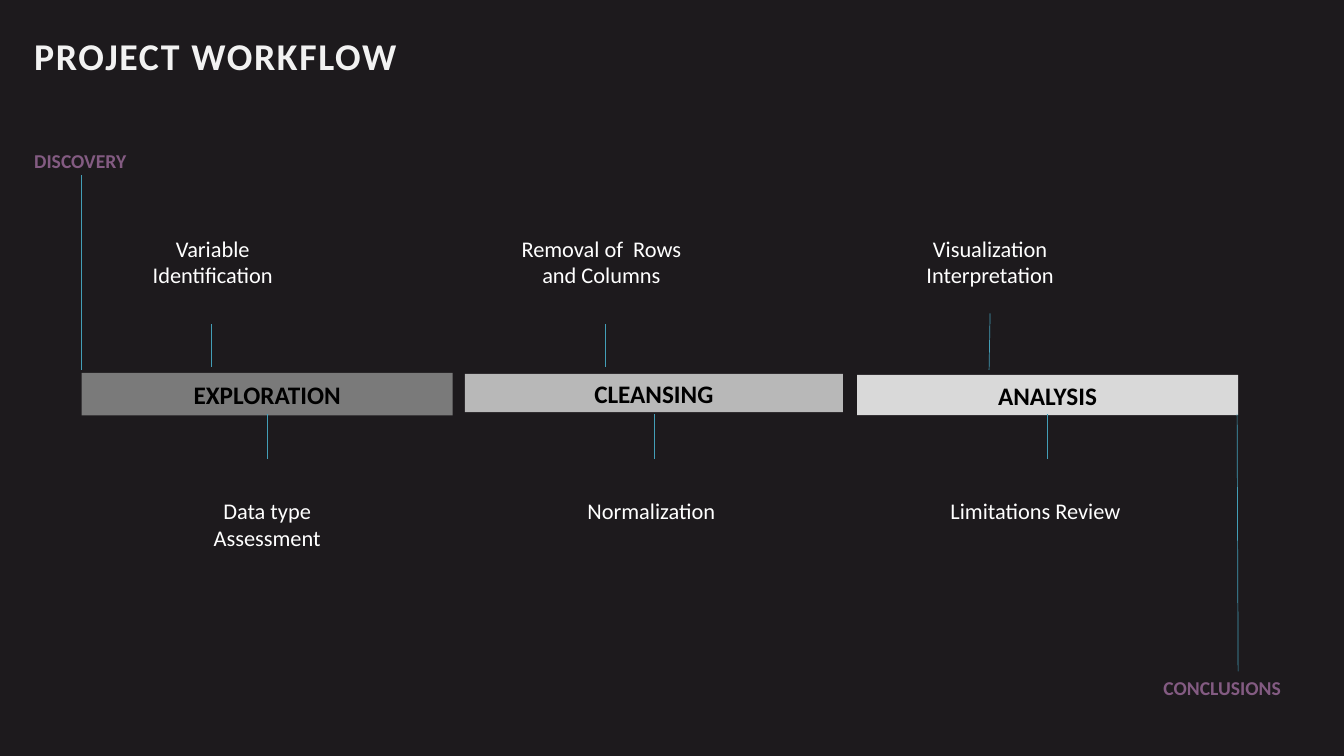
"""Build the project workflow slide: three stages with steps above and below."""
from lxml import etree
from pptx import Presentation
from pptx.dml.color import RGBColor
from pptx.enum.shapes import MSO_CONNECTOR, MSO_SHAPE
from pptx.enum.text import MSO_ANCHOR, MSO_AUTO_SIZE, PP_ALIGN
from pptx.oxml.ns import qn
from pptx.util import Inches, Pt

LEFT, CENTER = PP_ALIGN.LEFT, PP_ALIGN.CENTER
MIDDLE = MSO_ANCHOR.MIDDLE
FIT_SHAPE = MSO_AUTO_SIZE.SHAPE_TO_FIT_TEXT
RECT, STRAIGHT = MSO_SHAPE.RECTANGLE, MSO_CONNECTOR.STRAIGHT

THEME = {
    "font": "Calibri",
    "background": "1D1A1D",
    "title": {"size": 27, "color": "F2F2F2", "bold": True, "spacing": 1.2},
    "stage": {"size": 18, "color": "000000", "bold": True},
    "milestone": {"size": 14, "color": "835B82", "bold": True},
    "step": {"size": 16, "color": "FFFFFF", "bold": False},
    "line": "439EB7",
    "line_width": 0.5,
}

TITLE = ("PROJECT WORKFLOW", (0.24, 0.28, 4.68, 0.56))
MILESTONES = [
    ("DISCOVERY", (0.24, 1.43, 1.99, 0.34)),
    ("CONCLUSIONS", (11.44, 6.66, 1.82, 0.34)),
]
STAGES = [
    ("EXPLORATION", (0.81, 3.7, 3.68, 0.42), "7A7A7A"),
    ("CLEANSING", (4.61, 3.71, 3.75, 0.38), "B8B8B8"),
    ("ANALYSIS", (8.5, 3.72, 3.78, 0.4), "D9D9D9"),
]
STEPS_ABOVE = [
    ("Variable Identification", 1.14, 1.94, 0.64),
    ("Removal of  Rows and Columns", 5.03, 1.87, 0.64),
    ("Visualization Interpretation", 8.85, 1.94, 0.64),
]
STEPS_BELOW = [
    ("Data type Assessment", 1.68, 1.94, 0.64),
    ("Normalization", 5.49, 1.94, 0.37),
    ("Limitations Review", 9.3, 1.94, 0.64),
]
STEP_ROWS = [(2.28, STEPS_ABOVE), (4.88, STEPS_BELOW)]
TICKS_ABOVE = [
    ((2.1, 3.64), (2.1, 3.21)),
    ((6, 3.64), (6, 3.21)),
    ((9.81, 3.67), (9.82, 3.11)),
]
TICKS_BELOW = [((x, 4.55), (x, 4.11)) for x in (2.65, 6.49, 10.39)]
MILESTONE_LINES = [((0.81, 3.67), (0.81, 1.74)), ((12.28, 6.66), (12.27, 4.11))]


def rgb(value):
    return RGBColor.from_string(value)


def write(tf, text, style, align):
    tf.word_wrap = True
    p = tf.paragraphs[0]
    p.alignment = align
    r = p.add_run()
    r.text = text
    r.font.name = THEME["font"]
    r.font.size = Pt(style["size"])
    r.font.bold = style["bold"]
    r.font.color.rgb = rgb(style["color"])
    if "spacing" in style:
        r.font._element.set("spc", str(round(style["spacing"] * 100)))


def add_label(s, text, box, style, align=LEFT):
    tf = s.shapes.add_textbox(*map(Inches, box)).text_frame
    write(tf, text, style, align)
    tf.auto_size = FIT_SHAPE


def add_stage(s, text, box, fill):
    sp = s.shapes.add_shape(RECT, *map(Inches, box))
    sp.shadow.inherit = False
    sp.fill.solid()
    sp.fill.fore_color.rgb = rgb(fill)
    sp.line.fill.background()
    sp.text_frame.vertical_anchor = MIDDLE
    write(sp.text_frame, text, THEME["stage"], CENTER)


def add_line(s, start, end):
    line = s.shapes.add_connector(STRAIGHT, *map(Inches, start + end))
    line.line.color.rgb = rgb(THEME["line"])
    line.line.width = Pt(THEME["line_width"])
    etree.SubElement(line._element.spPr, qn("a:effectLst"))


def main():
    prs = Presentation()
    prs.slide_width, prs.slide_height = Inches(13.33), Inches(7.5)
    s = prs.slides.add_slide(prs.slide_layouts[6])
    s.background.fill.solid()
    s.background.fill.fore_color.rgb = rgb(THEME["background"])

    add_label(s, *TITLE, THEME["title"])
    for stage in STAGES:
        add_stage(s, *stage)
    for start, end in TICKS_ABOVE + TICKS_BELOW + MILESTONE_LINES:
        add_line(s, start, end)
    for text, box in MILESTONES:
        add_label(s, text, box, THEME["milestone"])
    for top, steps in STEP_ROWS:
        for text, left, width, height in steps:
            add_label(s, text, (left, top, width, height), THEME["step"], CENTER)

    prs.save("out.pptx")


if __name__ == "__main__":
    main()
